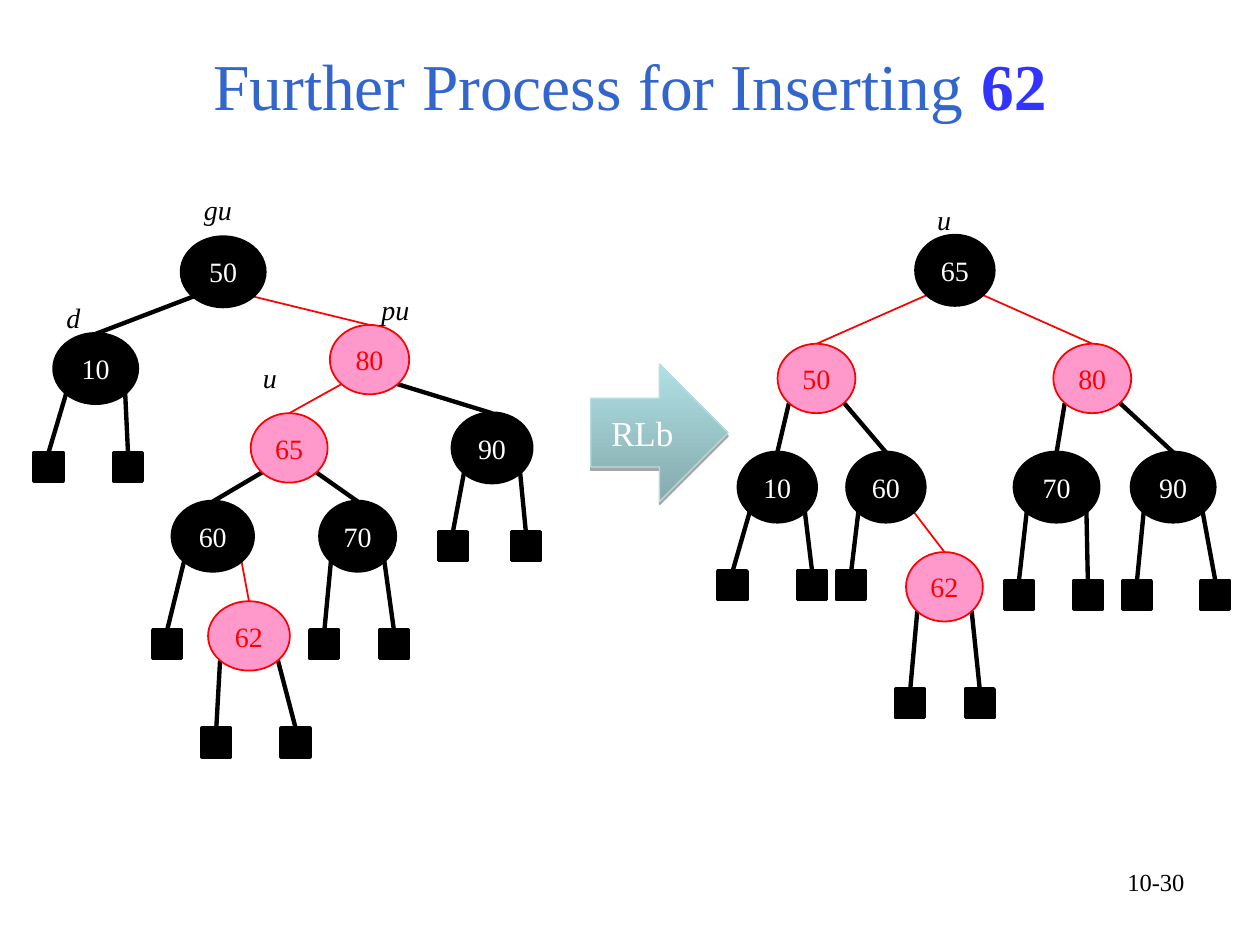
from dataclasses import dataclass
from math import sqrt
from typing import Optional

from lxml.etree import SubElement
from pptx import Presentation
from pptx.dml.color import RGBColor
from pptx.enum.shapes import MSO_CONNECTOR, MSO_SHAPE
from pptx.enum.text import MSO_ANCHOR, PP_ALIGN
from pptx.oxml.ns import qn
from pptx.util import Cm, Pt


@dataclass
class Theme:
    font = "Times New Roman"
    black = RGBColor(0, 0, 0)
    white = RGBColor(255, 255, 255)
    red = RGBColor(255, 0, 0)
    pink = RGBColor(0xFF, 0x99, 0xCC)
    title = RGBColor(0x33, 0x66, 0xCC)
    highlight = RGBColor(0x33, 0x33, 0xFF)
    arrow_dark = RGBColor(0x85, 0xAA, 0xAD)
    arrow_light = RGBColor(0xAF, 0xE0, 0xE4)
    arrow_line = RGBColor(0xB6, 0xDC, 0xDF)
    title_size = Pt(37.4)
    arrow_size = Pt(20)
    node_size = Pt(16)
    number_size = Pt(14)


@dataclass
class Node:
    """A tree node in cm; one without a key is an external node."""
    center: float
    top: float
    key: str = ""
    width: float = 0.58
    red: bool = False
    left: Optional["Node"] = None
    right: Optional["Node"] = None


theme = Theme()
NODE_HEIGHT = 1.4
LEAF_SIZE = 0.58


def write(shape, text, size, color, align=PP_ALIGN.CENTER, wrap=False):
    frame = shape.text_frame
    frame.text = text
    frame.word_wrap = wrap
    para = frame.paragraphs[0]
    para.alignment = align
    para.font.name = theme.font
    para.font.size = size
    para.font.color.rgb = color
    return para


def draw_tree(shapes, node):
    """Draw the edges and subtrees first, so that the node covers the edge ends."""
    height = NODE_HEIGHT if node.key else LEAF_SIZE
    for side, child in ((-1, node.left), (1, node.right)):
        if child is None:
            continue
        start_x = node.center + side * node.width / 2 / sqrt(2)
        start_y = node.top + height / 2 * (1 + 1 / sqrt(2))
        edge = shapes.add_connector(MSO_CONNECTOR.STRAIGHT, Cm(start_x), Cm(start_y),
                                    Cm(child.center), Cm(child.top))
        edge.line.color.rgb = theme.red if child.red else theme.black
        edge.line.width = Pt(1) if child.red else Pt(2.5)
        SubElement(edge._element.spPr, qn("a:effectLst"))
        draw_tree(shapes, child)

    preset = MSO_SHAPE.OVAL if node.key else MSO_SHAPE.RECTANGLE
    shape = shapes.add_shape(preset, Cm(node.center - node.width / 2), Cm(node.top),
                             Cm(node.width), Cm(height))
    shape.shadow.inherit = False
    shape.fill.solid()
    shape.fill.fore_color.rgb = theme.pink if node.red else theme.black
    shape.line.color.rgb = theme.red if node.red else theme.black
    shape.line.width = Pt(1) if node.red else Pt(2)
    if node.key:
        write(shape, node.key, theme.node_size, theme.red if node.red else theme.white)


before = Node(
    4.5, 4.78, "50", 1.68,
    left=Node(1.93, 6.73, "10", 1.68, left=Node(0.98, 9.12), right=Node(2.58, 9.12)),
    right=Node(
        7.45, 6.55, "80", 1.6, red=True,
        left=Node(
            5.83, 8.33, "65", 1.55, red=True,
            left=Node(
                4.29, 10.11, "60", 1.63,
                left=Node(3.37, 12.7),
                right=Node(5.02, 12.12, "62", 1.65, red=True,
                           left=Node(4.36, 14.68), right=Node(5.96, 14.68))),
            right=Node(7.21, 10.11, "70", 1.52,
                       left=Node(6.54, 12.7), right=Node(7.94, 12.7))),
        right=Node(9.92, 8.33, "90", 1.6,
                   left=Node(9.13, 10.72), right=Node(10.6, 10.72))))

after = Node(
    19.25, 4.75, "65", 1.57,
    left=Node(
        16.46, 6.93, "50", 1.57, red=True,
        left=Node(15.67, 9.12, "10", 1.57,
                  left=Node(14.77, 11.51), right=Node(16.37, 11.51)),
        right=Node(
            17.86, 9.12, "60", 1.57,
            left=Node(17.16, 11.51),
            right=Node(19.04, 11.13, "62", 1.55, red=True,
                       left=Node(18.35, 13.89), right=Node(19.75, 13.89)))),
    right=Node(
        22.02, 6.93, "80", 1.57, red=True,
        left=Node(21.3, 9.12, "70", 1.7,
                  left=Node(20.54, 11.71), right=Node(21.93, 11.71)),
        right=Node(23.65, 9.12, "90", 1.68,
                   left=Node(22.92, 11.71), right=Node(24.5, 11.71))))

before_labels = [("u", 5.05, 7.14, 0.99), ("pu", 7.44, 5.77, 1.19),
                 ("gu", 3.86, 3.76, 1.19), ("d", 1.09, 5.94, 0.99)]
after_labels = [("u", 18.64, 3.96, 0.99)]

deck = Presentation()
deck.slide_width, deck.slide_height = Cm(25.4), Cm(19.05)
slide = deck.slides.add_slide(deck.slide_layouts[6])

title = slide.shapes.add_textbox(Cm(1.27), Cm(0.76), Cm(22.86), Cm(1.75))
para = write(title, "Further Process for Inserting ", theme.title_size, theme.title, wrap=True)
para.line_spacing = 0.9
span = para.add_run()
span.text = "62"
span.font.bold = True
span.font.color.rgb = theme.highlight
frame = title.text_frame
frame.vertical_anchor = MSO_ANCHOR.BOTTOM
frame.margin_left = frame.margin_right = frame.margin_bottom = 0

arrow = slide.shapes.add_shape(MSO_SHAPE.RIGHT_ARROW, Cm(11.91), Cm(7.34), Cm(2.77), Cm(2.77))
arrow.fill.gradient()
arrow.fill.gradient_angle = 90
for stop, color in zip(arrow.fill.gradient_stops, (theme.arrow_dark, theme.arrow_light)):
    stop.color.rgb = color
arrow.line.color.rgb = theme.arrow_line
arrow.line.width = Pt(0.75)
arrow.shadow.inherit = False
effects = arrow._element.spPr.find(qn("a:effectLst"))
shadow = SubElement(effects, qn("a:outerShdw"), blurRad="0", dist=str(Pt(1.8)),
                    dir="5400000", rotWithShape="0")
shadow_color = SubElement(shadow, qn("a:srgbClr"), val=str(theme.black))
SubElement(shadow_color, qn("a:alpha"), val="35000")
write(arrow, "RLb", theme.arrow_size, theme.white)

for tree, labels in ((before, before_labels), (after, after_labels)):
    group = slide.shapes.add_group_shape()
    draw_tree(group.shapes, tree)
    for text, left, top, width in labels:
        box = group.shapes.add_textbox(Cm(left), Cm(top), Cm(width), Cm(0.94))
        para = write(box, text, theme.node_size, theme.black, PP_ALIGN.LEFT, wrap=True)
        para.font.italic = True

number = slide.shapes.add_textbox(Cm(18.21), Cm(17.35), Cm(5.92), Cm(1.32))
write(number, "10-30", theme.number_size, theme.black, PP_ALIGN.RIGHT, wrap=True)

deck.save("out.pptx")
